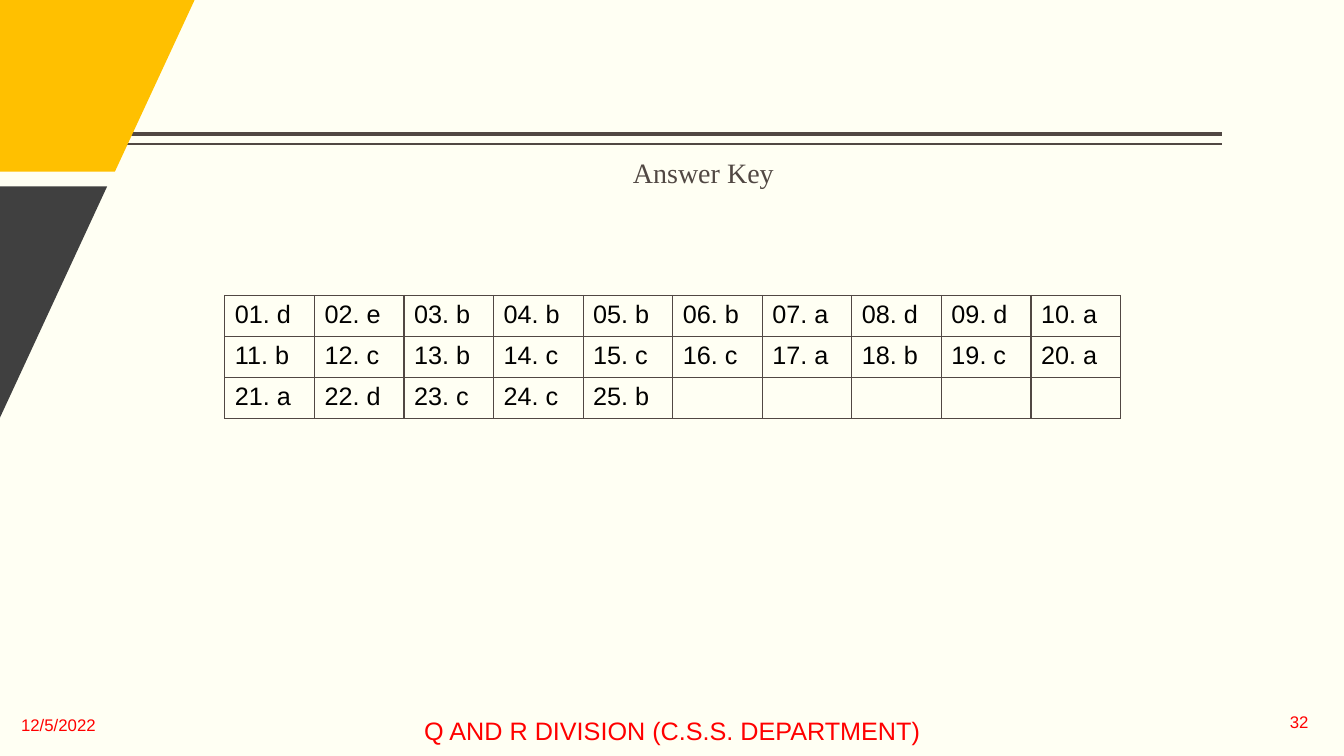
from dataclasses import dataclass

import lxml.etree
import pptx
import pptx.dml.color
import pptx.enum.shapes
import pptx.enum.text
import pptx.oxml.ns
import pptx.util

Pt = pptx.util.Pt
RGBColor = pptx.dml.color.RGBColor
Align = pptx.enum.text.PP_ALIGN
Anchor = pptx.enum.text.MSO_ANCHOR
qn = pptx.oxml.ns.qn

IVORY = RGBColor(0xFF, 0xFF, 0xF3)
BROWN = RGBColor(0x51, 0x48, 0x43)
GOLD = RGBColor(0xFF, 0xC0, 0x00)
CHARCOAL = RGBColor(0x40, 0x40, 0x40)
RED = RGBColor(0xFF, 0x00, 0x00)
BLACK = RGBColor(0x00, 0x00, 0x00)

ANSWERS = "debbbbaddabcbcccabcaadccb"
COLUMNS, ROWS = 10, 3
COLUMN_WIDTH, ROW_HEIGHT = 64, 29.3
TABLE_LEFT, TABLE_TOP = 160.6, 211


@dataclass
class Rule:
    y: float
    weight: float


@dataclass
class Panel:
    points: list[tuple[float, float]]
    color: RGBColor


@dataclass
class Label:
    text: str
    left: float
    top: float
    width: float
    height: float
    size: float
    align: Align
    font: str = "Arial"
    color: RGBColor = RED
    anchor: Anchor = Anchor.MIDDLE
    line_spacing: float = 1.0


RULES = [Rule(95.8, 3), Rule(103, 1)]

PANELS = [
    Panel([(0, 0), (139, 0), (82.1, 122.6), (0, 122.6)], GOLD),
    Panel([(0, 133.2), (76.5, 133.2), (0, 298.3)], CHARCOAL),
]

LABELS = [
    Label("Answer Key", 94.5, 110.2, 815.8, 356.4, 20, Align.CENTER,
          "Times New Roman", BROWN, Anchor.TOP, 0.9),
    Label("Q AND R DIVISION (C.S.S. DEPARTMENT)", 231.1, 507, 498.2, 28.8, 18, Align.CENTER),
    Label("12/5/2022", 15.1, 503.5, 144, 28.8, 12, Align.LEFT),
    Label("32", 790.6, 501.3, 144, 28.8, 12, Align.RIGHT),
]


def draw_rule(page: pptx.slide.Slide, rule: Rule) -> None:
    line = page.shapes.add_connector(
        pptx.enum.shapes.MSO_CONNECTOR.STRAIGHT,
        Pt(87), Pt(rule.y), Pt(873), Pt(rule.y))
    line.line.color.rgb = BROWN
    line.line.width = Pt(rule.weight)
    properties = line._element.find(qn("p:spPr"))
    lxml.etree.SubElement(properties, qn("a:effectLst"))


def draw_panel(page: pptx.slide.Slide, panel: Panel) -> None:
    points = [(Pt(x), Pt(y)) for x, y in panel.points]
    builder = page.shapes.build_freeform(*points[0])
    builder.add_line_segments(points[1:], close=True)
    shape = builder.convert_to_shape()
    shape.shadow.inherit = False
    shape.fill.solid()
    shape.fill.fore_color.rgb = panel.color
    shape.line.fill.background()


def draw_label(page: pptx.slide.Slide, label: Label) -> None:
    box = page.shapes.add_textbox(
        Pt(label.left), Pt(label.top), Pt(label.width), Pt(label.height))
    frame = box.text_frame
    frame.text = label.text
    frame.word_wrap = True
    frame.vertical_anchor = label.anchor
    frame.margin_left = frame.margin_right = 0
    para = frame.paragraphs[0]
    para.alignment = label.align
    para.line_spacing = label.line_spacing
    span = para.runs[0]
    span.font.name = label.font
    span.font.size = Pt(label.size)
    span.font.color.rgb = label.color


def draw_borders(cell: pptx.table._Cell) -> None:
    properties = cell._tc.get_or_add_tcPr()
    for side in ("lnL", "lnR", "lnT", "lnB"):
        border = lxml.etree.SubElement(properties, qn(f"a:{side}"), w=str(Pt(1)))
        fill = lxml.etree.SubElement(border, qn("a:solidFill"))
        lxml.etree.SubElement(fill, qn("a:srgbClr"), val=str(BROWN))


def draw_answers(page: pptx.slide.Slide) -> None:
    table = page.shapes.add_table(
        ROWS, COLUMNS, Pt(TABLE_LEFT), Pt(TABLE_TOP),
        Pt(COLUMNS * COLUMN_WIDTH), Pt(ROWS * ROW_HEIGHT)).table
    table.first_row = False
    table.horz_banding = False
    for column in table.columns:
        column.width = Pt(COLUMN_WIDTH)
    for row in table.rows:
        row.height = Pt(ROW_HEIGHT)
    for cell in table.iter_cells():
        draw_borders(cell)
        cell.fill.background()
    for index, answer in enumerate(ANSWERS):
        cell = table.cell(index // COLUMNS, index % COLUMNS)
        cell.text = f"{index + 1:02d}. {answer}"
        span = cell.text_frame.paragraphs[0].runs[0]
        span.font.name = "Arial"
        span.font.size = Pt(18)
        span.font.color.rgb = BLACK


def main() -> None:
    deck = pptx.Presentation()
    deck.slide_width, deck.slide_height = Pt(960), Pt(540)
    page = deck.slides.add_slide(deck.slide_layouts[6])
    page.background.fill.solid()
    page.background.fill.fore_color.rgb = IVORY
    for rule in RULES:
        draw_rule(page, rule)
    for panel in PANELS:
        draw_panel(page, panel)
    for label in LABELS:
        draw_label(page, label)
    draw_answers(page)
    deck.save("out.pptx")


if __name__ == "__main__":
    main()
